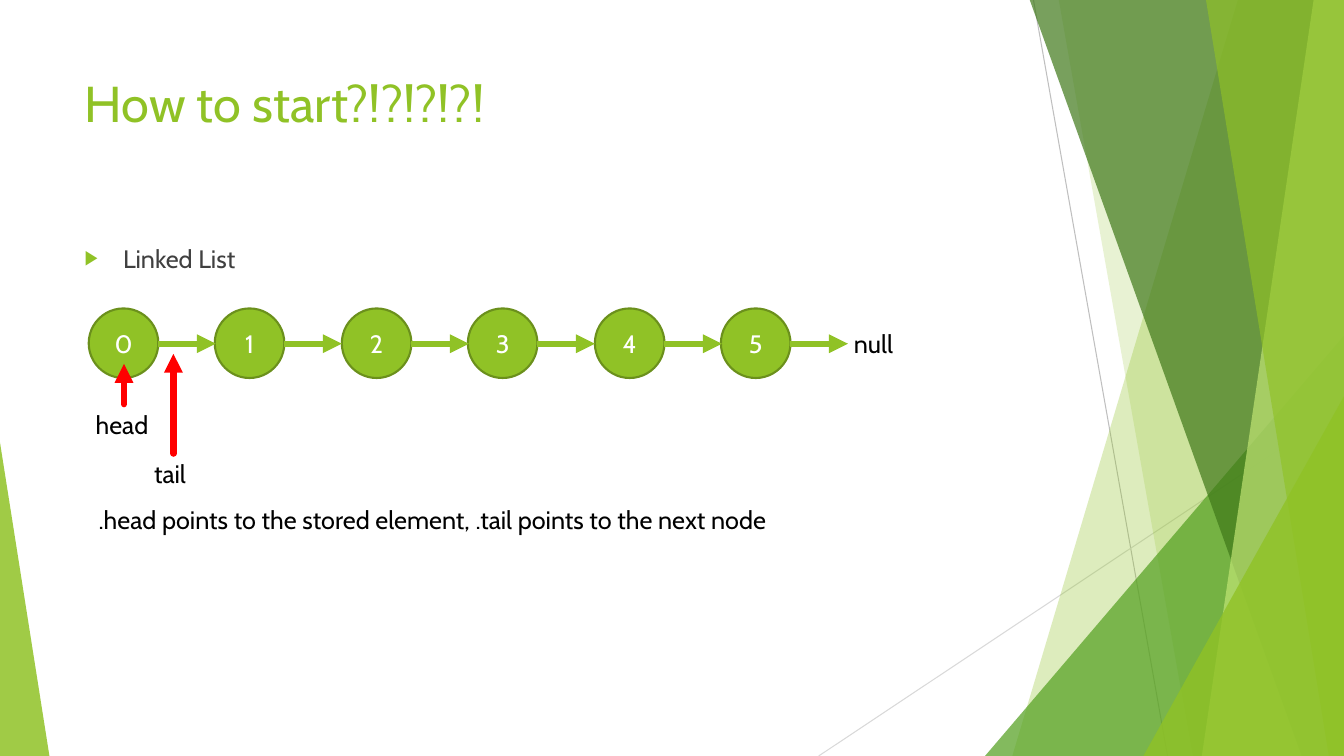
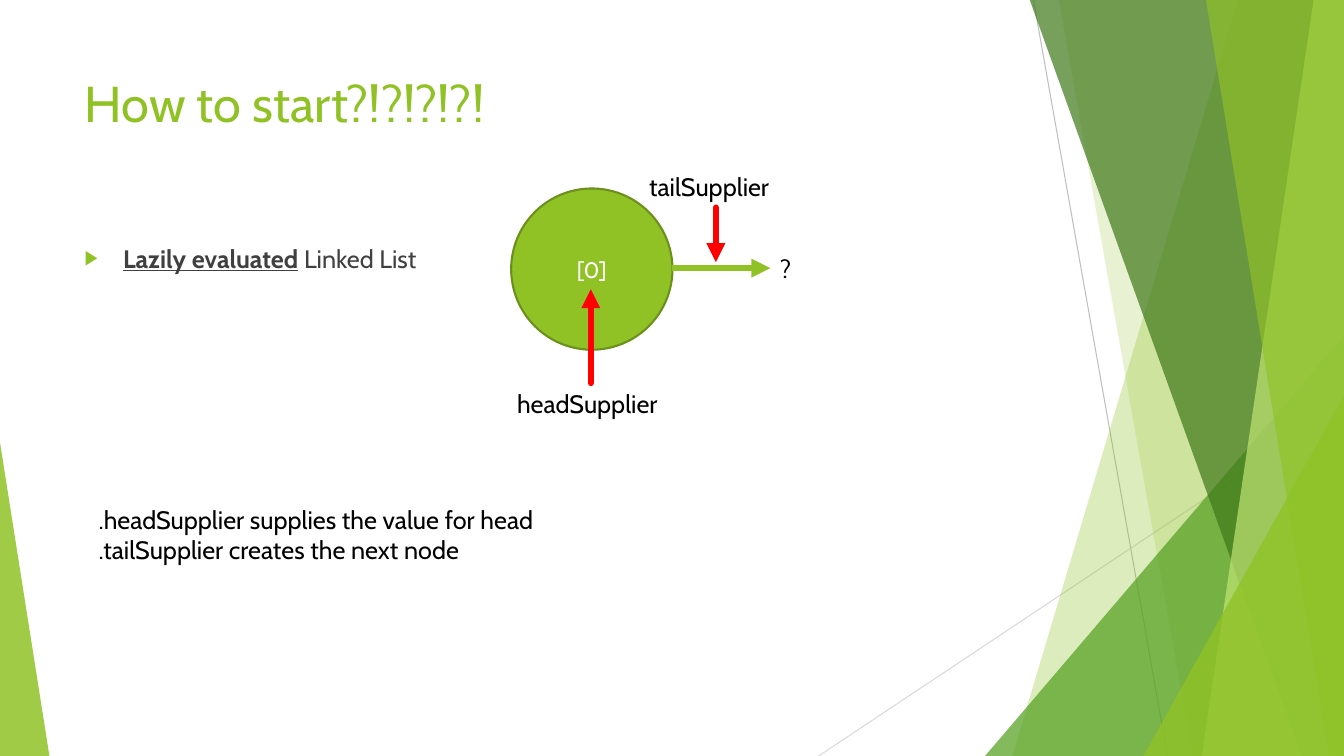
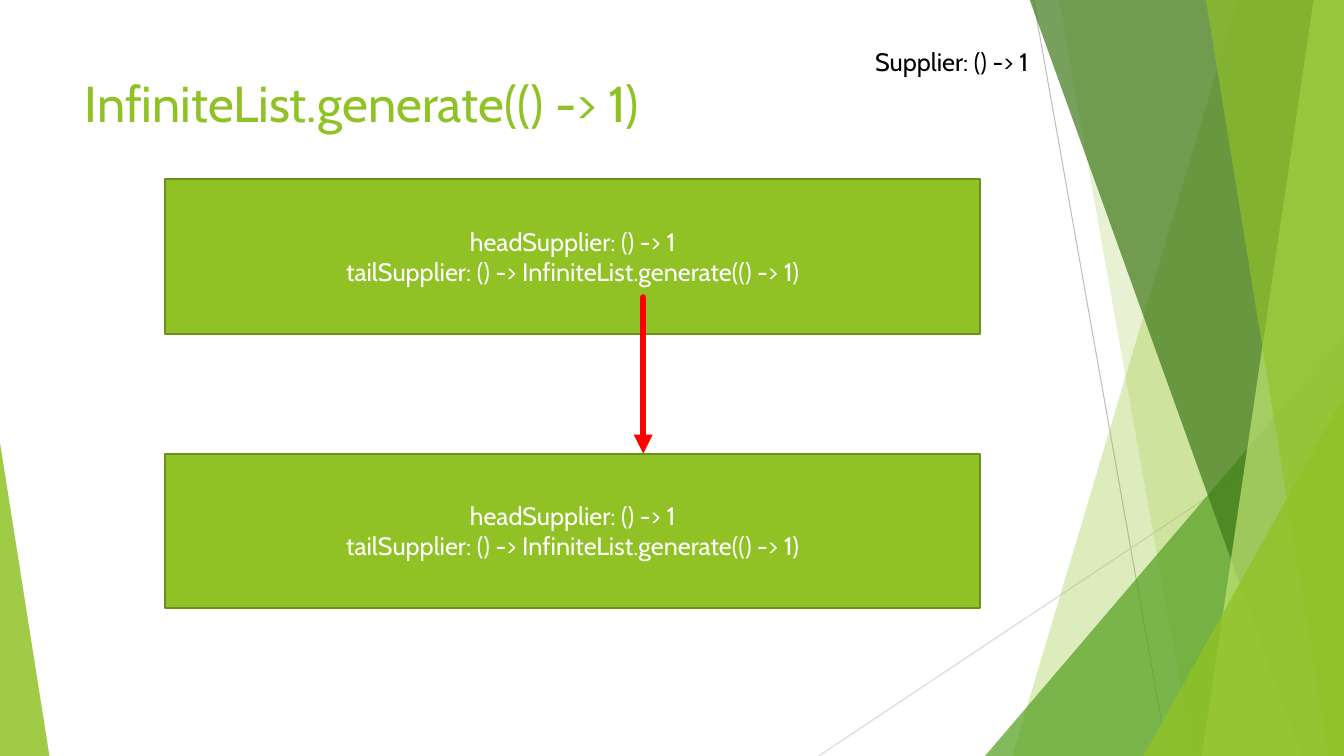
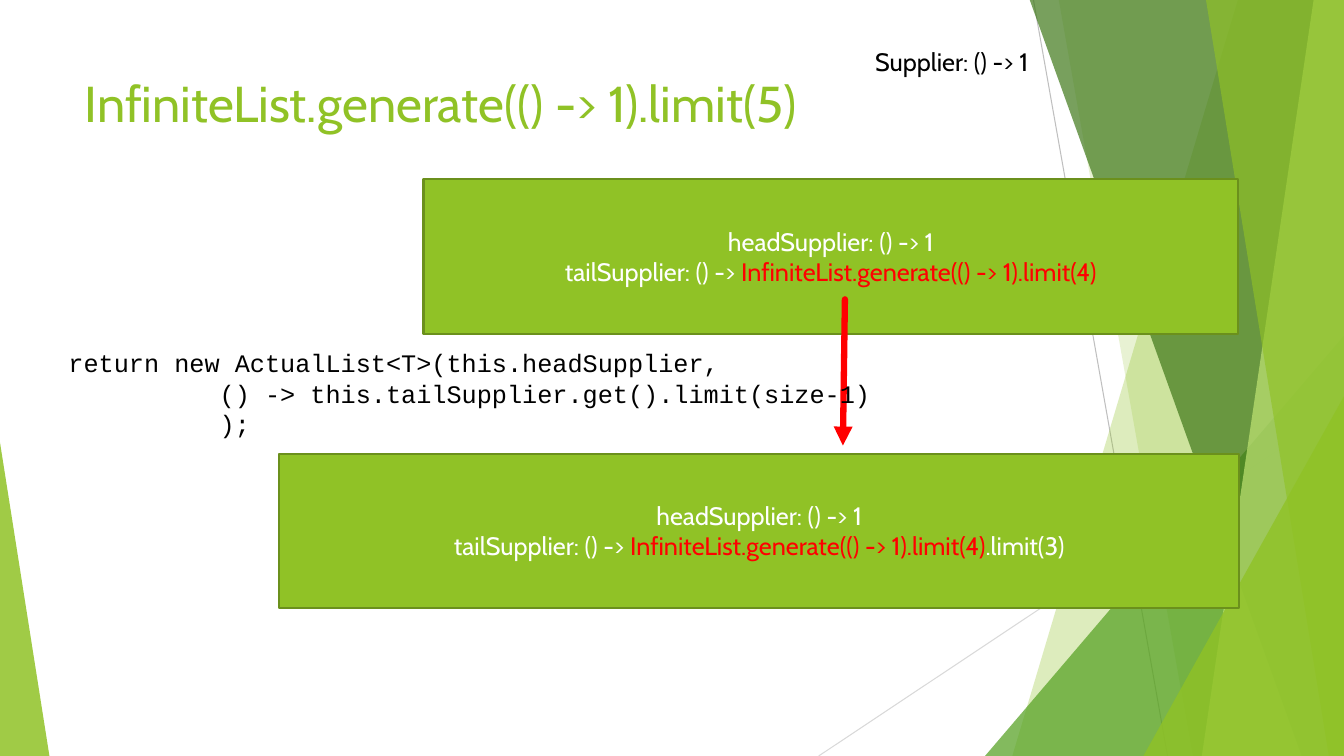
"""Build four slides on linked lists and lazily evaluated infinite lists."""
import pptx
import pptx.chart.data
import pptx.dml.color
import pptx.enum.shapes
import pptx.enum.text
import pptx.oxml
import pptx.oxml.ns
import pptx.util
from lxml import etree

PX = 9144
WIDE, HIGH = 1333, 750
GREEN, EDGE, RED, WHITE, BLACK, GRAY = (
    "90C226", "6B901C", "FF0000", "FFFFFF", "000000", "404040")
BASE = {"name": "Cabin", "size": pptx.util.Pt(18), "hue": BLACK}
FORM = pptx.enum.shapes.MSO_SHAPE
ROUND, RECT, WEDGE = FORM.OVAL, FORM.RECTANGLE, FORM.ISOSCELES_TRIANGLE
LINE = pptx.enum.shapes.MSO_CONNECTOR.STRAIGHT
ALIGN = pptx.enum.text.PP_ALIGN
FIT = pptx.enum.text.MSO_AUTO_SIZE
ANCHOR = pptx.enum.text.MSO_ANCHOR
qn = pptx.oxml.ns.qn


def hue(code):
    """Turn a hex string into a colour."""
    return pptx.dml.color.RGBColor.from_string(code)


def write(frame, rows, **form):
    """Fill a frame with paragraphs, each a list of (words, format) runs."""
    for spot, row in enumerate(rows):
        para = frame.add_paragraph() if spot else frame.paragraphs[0]
        for words, more in row:
            look = {**BASE, **form, **more}
            tone = look.pop("hue")
            for turn, part in enumerate(words.split("\n")):
                if turn:
                    para.add_line_break()
                run = para.add_run()
                run.text = part
                for key, value in look.items():
                    setattr(run.font, key, value)
                run.font.color.rgb = hue(tone)


HEAD = "headSupplier: () -> 1\ntailSupplier: () -> "
MAKE = "InfiniteList.generate(() -> 1)"
FOUR = (MAKE + ".limit(4)", {"hue": RED})
LABEL = (858, 41, 199, 40, ["Supplier: () -> 1"], {})
CODE = ["return new ActualList<T>(this.headSupplier,",
        "          () -> this.tailSupplier.get().limit(size-1)",
        "          );"]
spots = [round(88 + 125.4 * step) for step in range(6)]

deck = [
    {"title": "How to start?!?!?!?!",
     "body": [("Linked List", {})],
     "nodes": [(ROUND, x, 306, 69, 69, [(str(step), {})])
               for step, x in enumerate(spots)],
     "arrows": [(x + 69, 341, x + 126, 341, GREEN) for x in spots]
     + [(123, 401, 123, 361, RED), (172, 450, 172, 351, RED)],
     "notes": [(837, 321, 63, 40, ["null"], {}),
               (85, 401, 75, 40, ["head"], {}),
               (143, 450, 58, 40, ["tail"], {}),
               (88, 495, 754, 40, [".head points to the stored element, "
                                   ".tail points to the next node"], {})]},
    {"title": "How to start?!?!?!?!",
     "body": [("Lazily evaluated", {"bold": True, "underline": True}),
              (" Linked List", {})],
     "nodes": [(ROUND, 507, 187, 160, 160,
                [("[0]", {"size": pptx.util.Pt(16)})])],
     "arrows": [(667, 266, 764, 266, GREEN), (586, 380, 586, 287, RED),
                (710, 206, 710, 260, RED)],
     "notes": [(503, 380, 167, 40, ["headSupplier"], {}),
               (634, 165, 150, 40, ["tailSupplier"], {}),
               (88, 495, 491, 71, [".headSupplier supplies the value for head",
                                   ".tailSupplier creates the next node"], {}),
               (764, 246, 29, 40, ["?"], {})]},
    {"title": MAKE,
     "body": [],
     "nodes": [(RECT, 164, y, 808, 153, [(HEAD + MAKE, {})])
               for y in (178, 450)],
     "arrows": [(638, 295, 638, 450, RED)],
     "notes": [LABEL]},
    {"title": MAKE + ".limit(5)",
     "body": [],
     "nodes": [(RECT, 420, 178, 808, 153, [(HEAD, {}), FOUR]),
               (RECT, 277, 450, 952, 153,
                [(HEAD, {}), FOUR, (".limit(3)", {})])],
     "arrows": [(838, 297, 836, 442, RED)],
     "notes": [LABEL, (58, 340, 899, 101, CODE, {"name": "Courier New"})]},
]

prs = pptx.Presentation()
prs.slide_width, prs.slide_height = WIDE * PX, HIGH * PX
layout = prs.slide_layouts[1]
holds = list(layout.placeholders)
tree = holds[0].element.getparent()
for hold in holds[2:]:
    tree.remove(hold.element)
for hold, top, high in zip(holds, (67, 236), (144, 424)):
    place = {"left": 74 * PX, "top": top * PX,
             "width": 940 * PX, "height": high * PX}
    for key, value in place.items():
        setattr(hold, key, value)
    hold.text_frame.vertical_anchor = ANCHOR.TOP
    hold.text_frame.auto_size = FIT.NONE

pages = [prs.slides.add_slide(layout) for _ in deck]
home = pages[0].shapes
decor = []
for ends, tone in (((1025, 0, 1158, 750), "BFBFBF"),
                   ((1333, 403, 812, 750), "D9D9D9")):
    thin = home.add_connector(LINE, *(end * PX for end in ends))
    thin.line.color.rgb = hue(tone)
    thin.line.width = pptx.util.Pt(0.75)
    etree.SubElement(thin.element.spPr, qn("a:effectLst"))
    decor.append(thin)

# Bands give the x of their upper and lower corner, wedges left, top, width, tip.
for size, tone, alpha in (
        ((1228, 1004), GREEN, 30), ((1050, 1183), GREEN, 20),
        ((977, 333, 356, 1), "54A021", 72), ((1021, 1291), "3F7819", 70),
        ((1303, 1192), "C0E474", 70), ((1196, 1318), GREEN, 65),
        ((1134, 393, 199, 1), GREEN, 80), ((0, 439, 49, 0), GREEN, 85)):
    if len(size) == 2:
        upper, lower = size
        pen = home.build_freeform(upper, -1, PX)
        pen.add_line_segments([(WIDE, -1), (WIDE, HIGH), (lower, HIGH)])
        pane = pen.convert_to_shape()
    else:
        left, top, wide, tip = size
        pane = home.add_shape(WEDGE, left * PX, top * PX,
                              wide * PX, (HIGH - top) * PX)
        pane.adjustments[0] = tip
    pane.shadow.inherit = False
    pane.line.fill.background()
    pane.fill.solid()
    pane.fill.fore_color.rgb = hue(tone)
    clear = etree.SubElement(pane.element.spPr.find(".//" + qn("a:srgbClr")),
                             qn("a:alpha"))
    clear.set("val", str(alpha * 1000))
    decor.append(pane)
for part in decor:
    tree.append(part.element)

for page, data in zip(pages, deck):
    title, body = page.placeholders
    write(title.text_frame, [[(data["title"], {})]],
          size=pptx.util.Pt(36), hue=GREEN)
    title.text_frame.paragraphs[0].alignment = ALIGN.LEFT
    if data["body"]:
        para = body.text_frame.paragraphs[0]
        props = para._p.get_or_add_pPr()
        props.set("marL", str(38 * PX))
        props.set("indent", str(-38 * PX))
        tint = etree.SubElement(props, qn("a:buClr"))
        etree.SubElement(tint, qn("a:srgbClr")).set("val", GREEN)
        etree.SubElement(props, qn("a:buSzPct")).set("val", "80000")
        etree.SubElement(props, qn("a:buChar")).set("char", "▶")
        para.space_before = pptx.util.Pt(0)
        write(body.text_frame, [data["body"]], hue=GRAY)
    else:
        body.element.getparent().remove(body.element)

    for kind, *box, runs in data["nodes"]:
        node = page.shapes.add_shape(kind, *(side * PX for side in box))
        node.shadow.inherit = False
        node.fill.solid()
        node.fill.fore_color.rgb = hue(GREEN)
        node.line.color.rgb = hue(EDGE)
        node.line.width = pptx.util.Pt(1.5)
        node.text_frame.word_wrap = True
        node.text_frame.vertical_anchor = ANCHOR.MIDDLE
        node.text_frame.paragraphs[0].alignment = ALIGN.CENTER
        write(node.text_frame, [runs], hue=WHITE)

    for *ends, tone in data["arrows"]:
        arrow = page.shapes.add_connector(LINE, *(end * PX for end in ends))
        arrow.line.color.rgb = hue(tone)
        arrow.line.width = pptx.util.Pt(4.5)
        stroke = arrow.element.spPr.find(qn("a:ln"))
        stroke.set("cap", "rnd" if tone == RED else "flat")
        etree.SubElement(stroke, qn("a:tailEnd")).set("type", "triangle")
        etree.SubElement(arrow.element.spPr, qn("a:effectLst"))

    for *box, rows, look in data["notes"]:
        note = page.shapes.add_textbox(*(side * PX for side in box))
        note.text_frame.word_wrap = rows is CODE
        note.text_frame.auto_size = FIT.SHAPE_TO_FIT_TEXT
        write(note.text_frame, [[(row, {})] for row in rows], **look)

prs.save("out.pptx")
